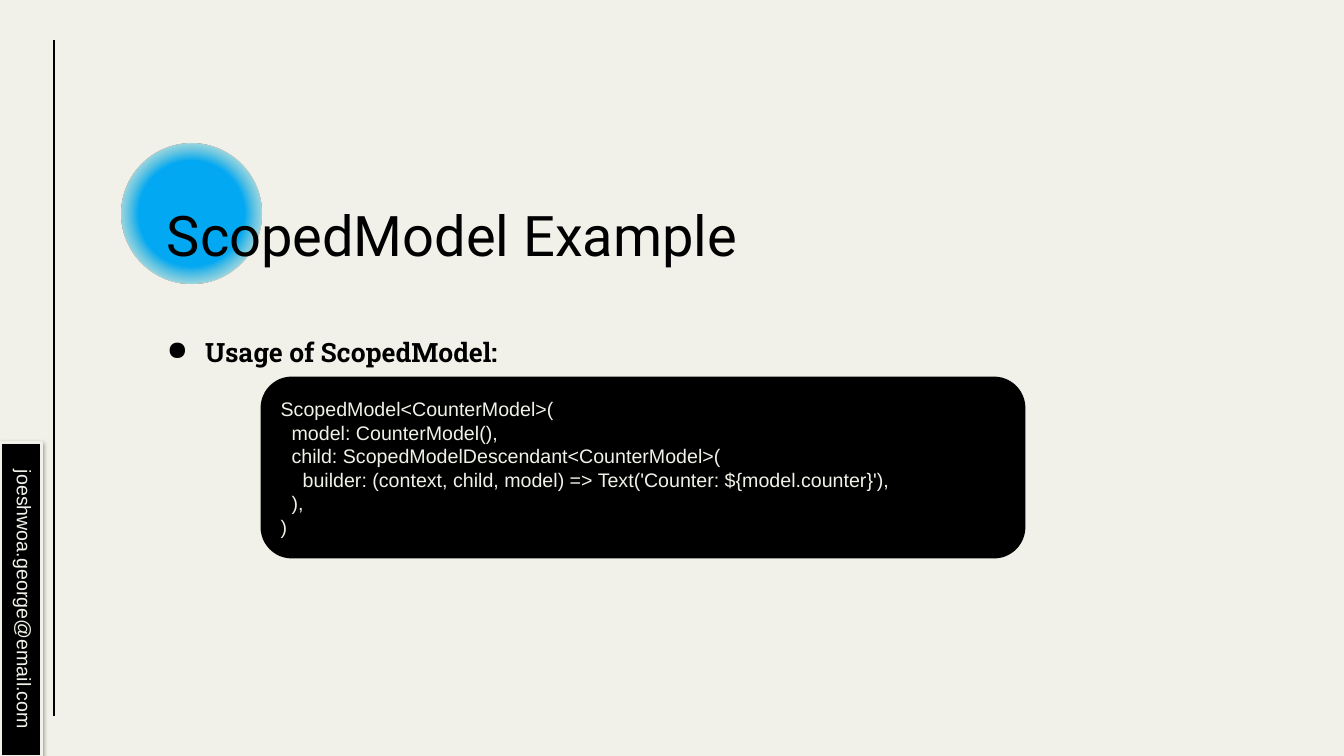
import pptx
import pptx.dml.color
import pptx.enum.shapes
import pptx.enum.text
import pptx.oxml
import pptx.oxml.ns
import pptx.util

PX = 914400 / 100.8
SLIDE_SIZE = (1344, 756)
BLACK, CREAM = "000000", "F1F1E9"

TITLE = "ScopedModel Example"
HEADING = "Usage of ScopedModel:"
EMAIL = "joeshwoa.george@email.com"
CODE = [  # indent level, text
    (0, "ScopedModel<CounterModel>("),
    (1, "model: CounterModel(),"),
    (1, "child: ScopedModelDescendant<CounterModel>("),
    (2, "builder: (context, child, model) => Text('Counter: ${model.counter}'),"),
    (1, "),"),
    (0, ")"),
]
CODE_INDENT = 11
HALO_COLORS = ["FFD966", "03A9F4"]

HALO_BOX = (122, 144, 139, 139)
TITLE_BOX = (154, 192, 913, 84)
BODY_BOX = (154, 307, 913, 275)
EMAIL_BOX = (-136, 579, 314, 41)
CODE_BOX = (262, 378, 762, 179)
RULE = (54, 40, 54, 716)

SHAPE = pptx.enum.shapes.MSO_SHAPE
ANCHOR = pptx.enum.text.MSO_ANCHOR
ALIGN = pptx.enum.text.PP_ALIGN


def emu(*lengths):
    return [pptx.util.Emu(round(n * PX)) for n in lengths]


def rgb(color):
    return pptx.dml.color.RGBColor.from_string(color)


def element(xml):
    """Parse one DrawingML element written with the a: prefix."""
    head, tail = xml.split(">", 1) if not xml.endswith("/>") or xml.count("<") > 1 else (xml[:-2], None)
    head += " " + pptx.oxml.ns.nsdecls("a")
    return pptx.oxml.parse_xml(head + ("/>" if tail is None else ">" + tail))


def add_shape(kind, box, fill=None, line=None):
    s = slide.shapes.add_shape(kind, *emu(*box))
    s.shadow.inherit = False
    if fill:
        s.fill.solid()
        s.fill.fore_color.rgb = rgb(fill)
    if line:
        s.line.color.rgb = rgb(line)
        s.line.width = pptx.util.Pt(2)
    else:
        s.line.fill.background()
    return s


def add_halo(color):
    """Circle that fades from a solid centre to a clear edge."""
    s = add_shape(SHAPE.OVAL, HALO_BOX, fill=color)
    solid = s._element.spPr.find(pptx.oxml.ns.qn("a:solidFill"))
    solid.getparent().replace(solid, element(
        '<a:gradFill rotWithShape="1"><a:gsLst>'
        f'<a:gs pos="0"><a:srgbClr val="{color}"/></a:gs>'
        f'<a:gs pos="53000"><a:srgbClr val="{color}"/></a:gs>'
        '<a:gs pos="100000"><a:srgbClr val="FFFFFF"><a:alpha val="2000"/></a:srgbClr></a:gs>'
        '</a:gsLst><a:path path="circle">'
        '<a:fillToRect l="50000" t="50000" r="50000" b="50000"/></a:path></a:gradFill>'))


def add_text(tf, text, size=14, font="Arial", color=CREAM, bold=False,
             align=ALIGN.LEFT, indent=0, first=True):
    p = tf.paragraphs[0] if first else tf.add_paragraph()
    p.alignment = align
    if indent:
        p._p.get_or_add_pPr().set("marL", str(emu(indent)[0]))
    r = p.add_run()
    r.text = text
    r.font.size = pptx.util.Pt(size)
    r.font.name = font
    r.font.bold = bold
    r.font.color.rgb = rgb(color)
    return p


def add_frame(box, anchor):
    tf = slide.shapes.add_textbox(*emu(*box)).text_frame
    tf.word_wrap = True
    tf.vertical_anchor = anchor
    tf.margin_left, tf.margin_top, tf.margin_right, tf.margin_bottom = emu(13, 13, 13, 13)
    return tf


prs = pptx.Presentation()
prs.slide_width, prs.slide_height = emu(*SLIDE_SIZE)
slide = prs.slides.add_slide(prs.slide_layouts[6])
slide.background.fill.solid()
slide.background.fill.fore_color.rgb = rgb(CREAM)

rule = slide.shapes.add_connector(pptx.enum.shapes.MSO_CONNECTOR.STRAIGHT, *emu(*RULE))
rule.line.color.rgb = rgb(BLACK)
rule.line.width = pptx.util.Pt(1.5)
rule._element.spPr.append(element("<a:effectLst/>"))

for color in HALO_COLORS:
    add_halo(color)

add_text(add_frame(TITLE_BOX, ANCHOR.MIDDLE), TITLE, size=40, font="Roboto", color=BLACK)

p = add_text(add_frame(BODY_BOX, ANCHOR.TOP), HEADING, size=19, font="Roboto Slab",
             color=BLACK, bold=True, indent=38)
p.line_spacing = 1.5
pPr = p._p.get_or_add_pPr()
pPr.set("indent", str(emu(-38)[0]))
pPr.append(element(f'<a:buClr><a:srgbClr val="{BLACK}"/></a:buClr>'))
pPr.append(element('<a:buChar char="●"/>'))

s = add_shape(SHAPE.RECTANGLE, EMAIL_BOX, fill=BLACK, line=CREAM)
s.rotation = 90
s._element.spPr.find(pptx.oxml.ns.qn("a:effectLst")).append(element(
    '<a:outerShdw blurRad="39370" dist="20320" dir="5400000" rotWithShape="0">'
    f'<a:srgbClr val="{BLACK}"><a:alpha val="38000"/></a:srgbClr></a:outerShdw>'))
s.text_frame.vertical_anchor = ANCHOR.TOP
add_text(s.text_frame, EMAIL, align=ALIGN.CENTER)

s = add_shape(SHAPE.ROUNDED_RECTANGLE, CODE_BOX, fill=BLACK, line=BLACK)
s.text_frame.vertical_anchor = ANCHOR.MIDDLE
for i, (level, text) in enumerate(CODE):
    add_text(s.text_frame, text, indent=level * CODE_INDENT, first=i == 0)

prs.save("out.pptx")
